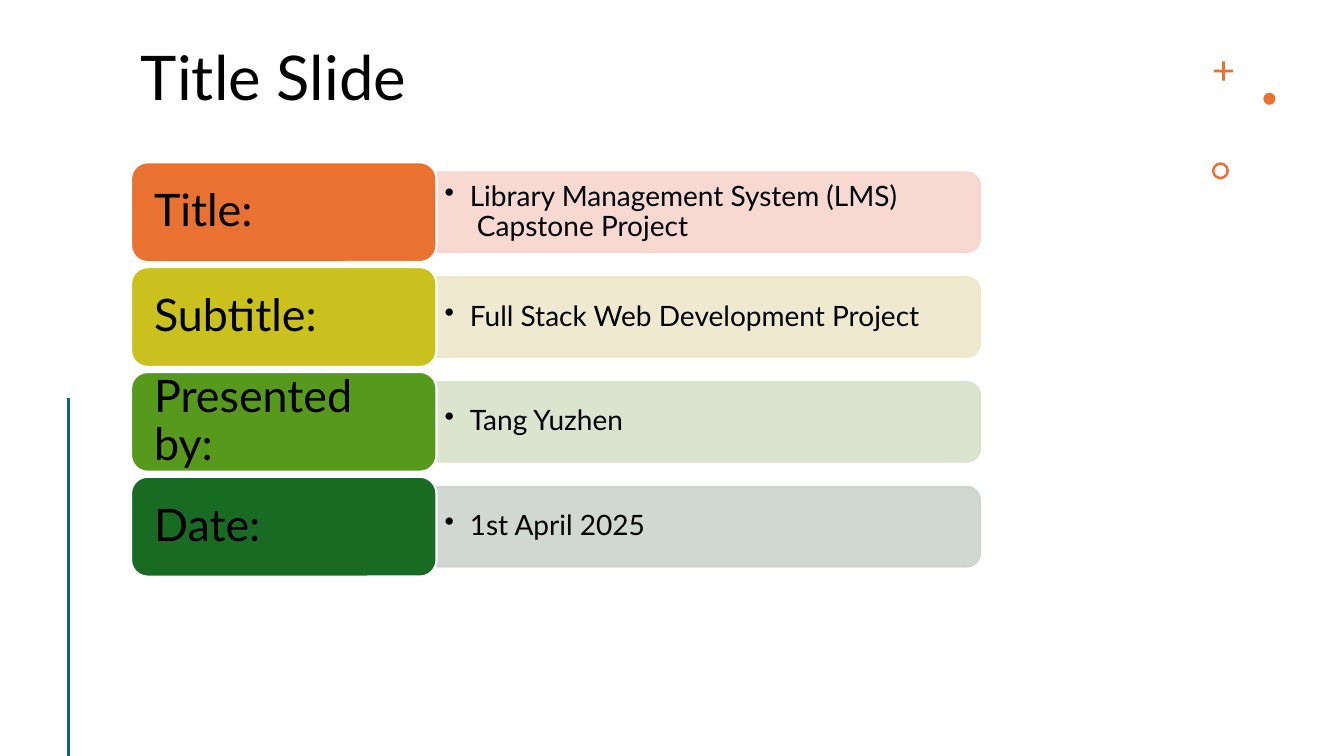
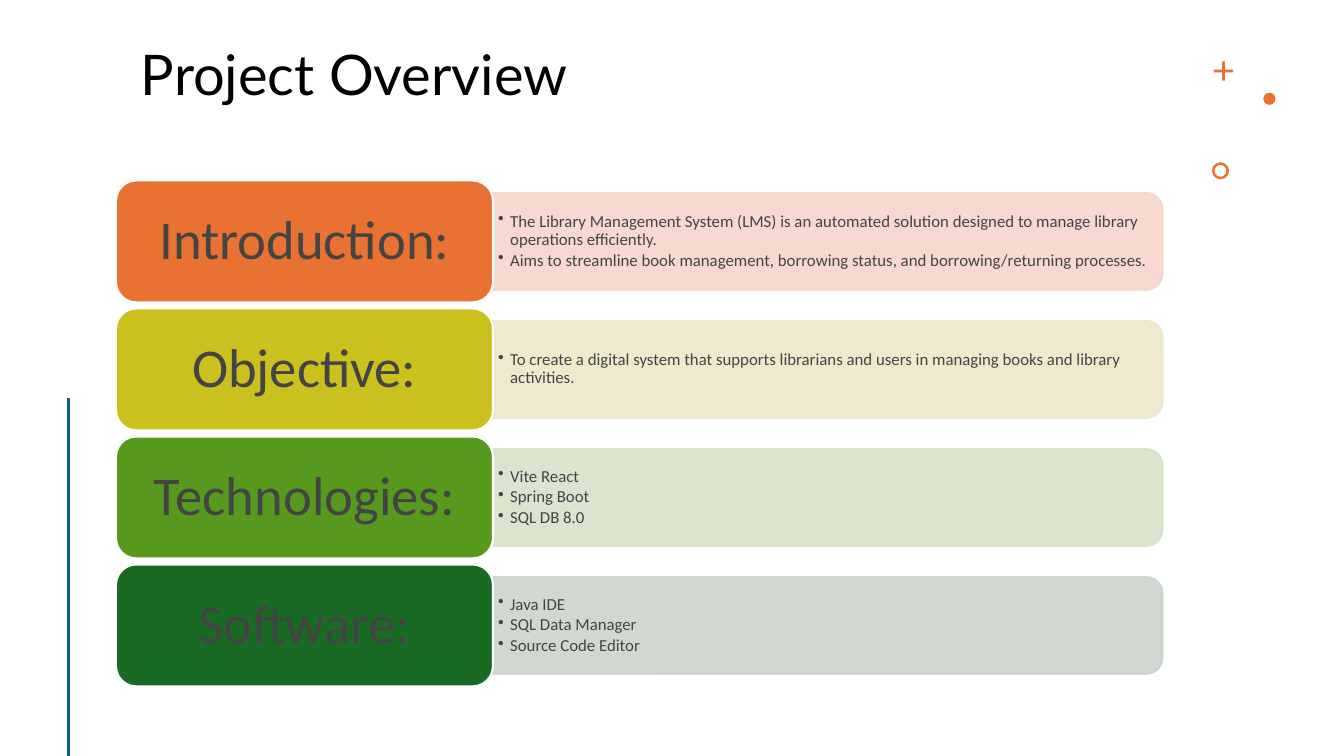
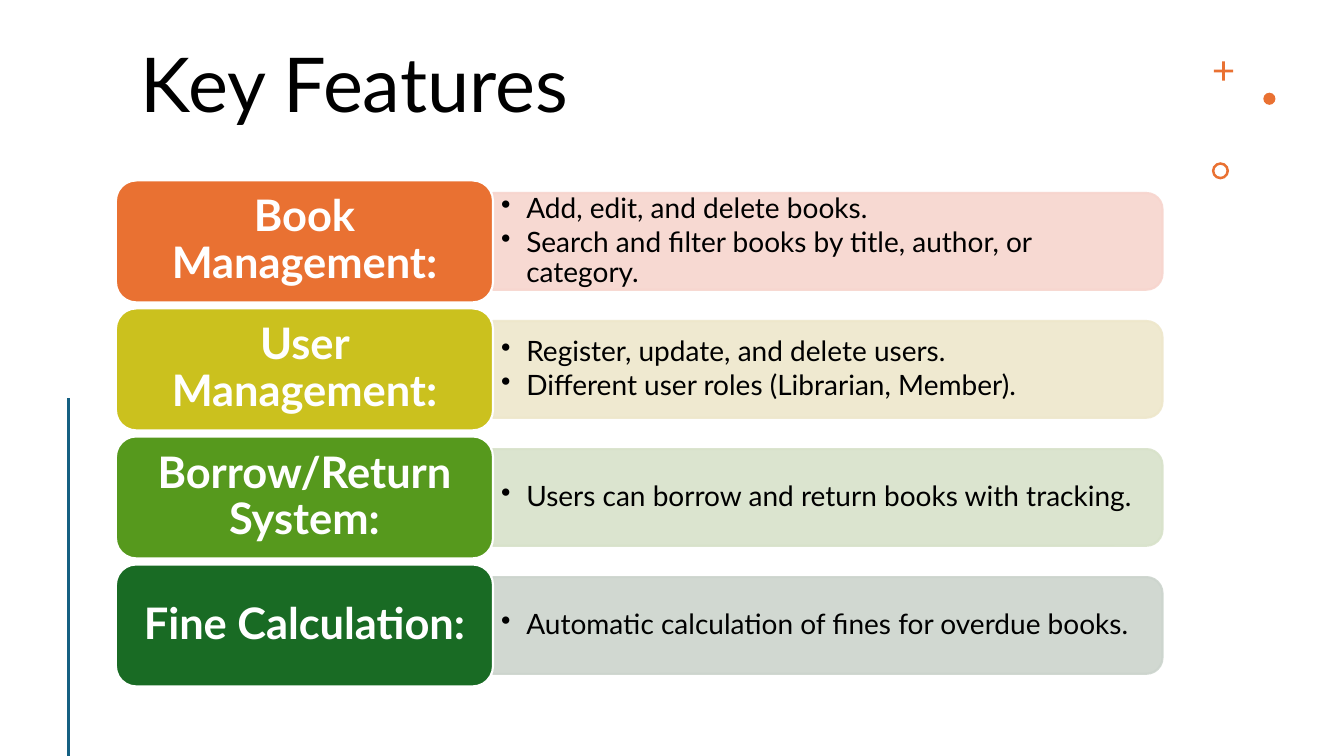
from lxml import etree
from pptx import Presentation
from pptx.dml.color import RGBColor
from pptx.enum import shapes, text
from pptx.oxml import ns
from pptx.util import Inches, Pt

ORANGE, BLUE, WHITE, BLACK, GREY = "E97132", "156082", "FFFFFF", "000000", "444444"
LABEL_COLOURS = [ORANGE, "CBC11E", "56991D", "196B24"]
PANEL_COLOURS = ["F7D5CE", "EEE7CB", "D8E2CA", "CCD4CD"]
LEFT, CENTER = text.PP_ALIGN.LEFT, text.PP_ALIGN.CENTER
TOP, MIDDLE = text.MSO_ANCHOR.TOP, text.MSO_ANCHOR.MIDDLE


def paint(fill, colour):
    fill.solid()
    fill.fore_color.rgb = RGBColor.from_string(colour)


def write(shape, lines, *, font="Lato", size, colour=BLACK, bold=False,
          align=LEFT, anchor=MIDDLE, inset=(0.1, 0.05), indent=0):
    """Fill a shape with paragraphs; an indent above zero adds bullets."""
    frame = shape.text_frame
    frame.word_wrap = True
    frame.vertical_anchor = anchor
    frame.margin_left = frame.margin_right = Inches(inset[0])
    frame.margin_top = frame.margin_bottom = Inches(inset[1])
    for number, line in enumerate(lines):
        paragraph = frame.add_paragraph() if number else frame.paragraphs[0]
        paragraph.text = line
        paragraph.alignment = align
        paragraph.line_spacing = 0.9
        for run in paragraph.runs:
            run.font.name, run.font.size, run.font.bold = font, Pt(size), bold
            paint(run.font.fill, colour)
        if indent:
            paragraph.space_after = Pt(0.15 * size)
            properties = paragraph._p.get_or_add_pPr()
            properties.set("marL", str(Inches(indent)))
            properties.set("indent", str(-Inches(indent)))
            etree.SubElement(properties, ns.qn("a:buChar"), char="•")


# Row grids: left, top, label width and height, row pitch, panel width and height
SMALL_GRID = (1.3, 1.61, 3.03, 0.99, 1.04, 5.39, 0.79)
LARGE_GRID = (1.15, 1.79, 3.74, 1.21, 1.27, 6.64, 0.96)
LARGE_BULLETS = dict(size=20, inset=(0.08, 0.04), indent=0.25)

SLIDES = [
    dict(title="Title Slide", title_size=44, grid=SMALL_GRID,
         label=dict(size=32, inset=(0.18, 0.12)), body=LARGE_BULLETS,
         rows=[("Title:", ["Library Management System (LMS)\v Capstone Project"]),
               ("Subtitle:", ["Full Stack Web Development Project"]),
               ("Presented by:", ["Tang Yuzhen"]),
               ("Date:", ["1st April 2025"])]),
    dict(title="Project Overview", title_size=40, grid=LARGE_GRID,
         label=dict(font="Calibri", size=39, colour=GREY, align=CENTER, inset=(0.22, 0.14)),
         body=dict(font="Calibri", size=12, colour=GREY, inset=(0.05, 0.03), indent=0.12),
         rows=[("Introduction:",
                ["The Library Management System (LMS) is an automated solution "
                 "designed to manage library operations efficiently.",
                 "Aims to streamline book management, borrowing status, "
                 "and borrowing/returning processes."]),
               ("Objective:",
                ["To create a digital system that supports librarians and users "
                 "in managing books and library activities."]),
               ("Technologies:", ["Vite React", "Spring Boot", "SQL DB 8.0"]),
               ("Software:", ["Java IDE", "SQL Data Manager", "Source Code Editor"])]),
    dict(title="Key Features", title_size=54, grid=LARGE_GRID,
         label=dict(size=31, colour=WHITE, bold=True, align=CENTER, inset=(0.19, 0.12)),
         body=LARGE_BULLETS,
         rows=[("Book Management:",
                ["Add, edit, and delete books.",
                 "Search and filter books by title, author, or category."]),
               ("User Management:",
                ["Register, update, and delete users.",
                 "Different user roles (Librarian, Member)."]),
               ("Borrow/Return System:",
                ["Users can borrow and return books with tracking."]),
               ("Fine Calculation:",
                ["Automatic calculation of fines for overdue books."])]),
]

# Corner ornaments: kind, left, top, size, adjustment
ORNAMENTS = [
    (shapes.MSO_SHAPE.CROSS, 12.04, 0.61, 0.19, 0.43),
    (shapes.MSO_SHAPE.OVAL, 12.53, 0.92, 0.12, None),
    (shapes.MSO_SHAPE.DONUT, 12.02, 1.61, 0.17, 0.15),
]

presentation = Presentation()
presentation.slide_width, presentation.slide_height = Inches(13.33), Inches(7.5)

for content in SLIDES:
    slide = presentation.slides.add_slide(presentation.slide_layouts[6])

    # Title
    title = slide.shapes.add_textbox(Inches(1.3), Inches(0.42), Inches(10.23), Inches(1.31))
    write(title, [content["title"]], size=content["title_size"], anchor=TOP)

    # Ornaments and side line
    for kind, left, top, size, adjustment in ORNAMENTS:
        ornament = slide.shapes.add_shape(
            kind, Inches(left), Inches(top), Inches(size), Inches(size))
        ornament.shadow.inherit = False
        paint(ornament.fill, ORANGE)
        ornament.line.fill.background()
        if adjustment:
            ornament.adjustments[0] = adjustment
    side_line = slide.shapes.add_connector(
        shapes.MSO_CONNECTOR.STRAIGHT, Inches(0.68), Inches(3.95), Inches(0.68), Inches(7.5))
    paint(side_line.line.fill, BLUE)
    side_line.line.width = Pt(2)
    etree.SubElement(side_line.element.spPr, ns.qn("a:effectLst"))

    # Rows: a label with a panel to its right
    left, first_top, label_width, label_height, pitch, panel_width, panel_height = content["grid"]
    panel_left = left + label_width
    for row, (heading, points) in enumerate(content["rows"]):
        top = first_top + row * pitch
        middle = top + label_height / 2

        # The panel is turned so that its two round corners face right
        panel = slide.shapes.add_shape(
            shapes.MSO_SHAPE.ROUND_2_SAME_RECTANGLE,
            Inches(panel_left + (panel_width - panel_height) / 2),
            Inches(middle - panel_width / 2), Inches(panel_height), Inches(panel_width))
        panel.rotation = 90
        panel.shadow.inherit = False
        paint(panel.fill, PANEL_COLOURS[row])
        paint(panel.line.fill, PANEL_COLOURS[row])
        panel.line.width = Pt(1.5)
        for colour in panel.element.xpath("./p:spPr//a:srgbClr"):
            etree.SubElement(colour, ns.qn("a:alpha"), val="90000")

        body = slide.shapes.add_textbox(
            Inches(panel_left), Inches(middle - panel_height / 2),
            Inches(panel_width - 0.04), Inches(panel_height))
        write(body, points, **content["body"])

        label = slide.shapes.add_shape(
            shapes.MSO_SHAPE.ROUNDED_RECTANGLE, Inches(left), Inches(top),
            Inches(label_width), Inches(label_height))
        label.shadow.inherit = False
        paint(label.fill, LABEL_COLOURS[row])
        paint(label.line.fill, WHITE)
        label.line.width = Pt(1.5)
        write(label, [heading], **content["label"])

presentation.save("out.pptx")
